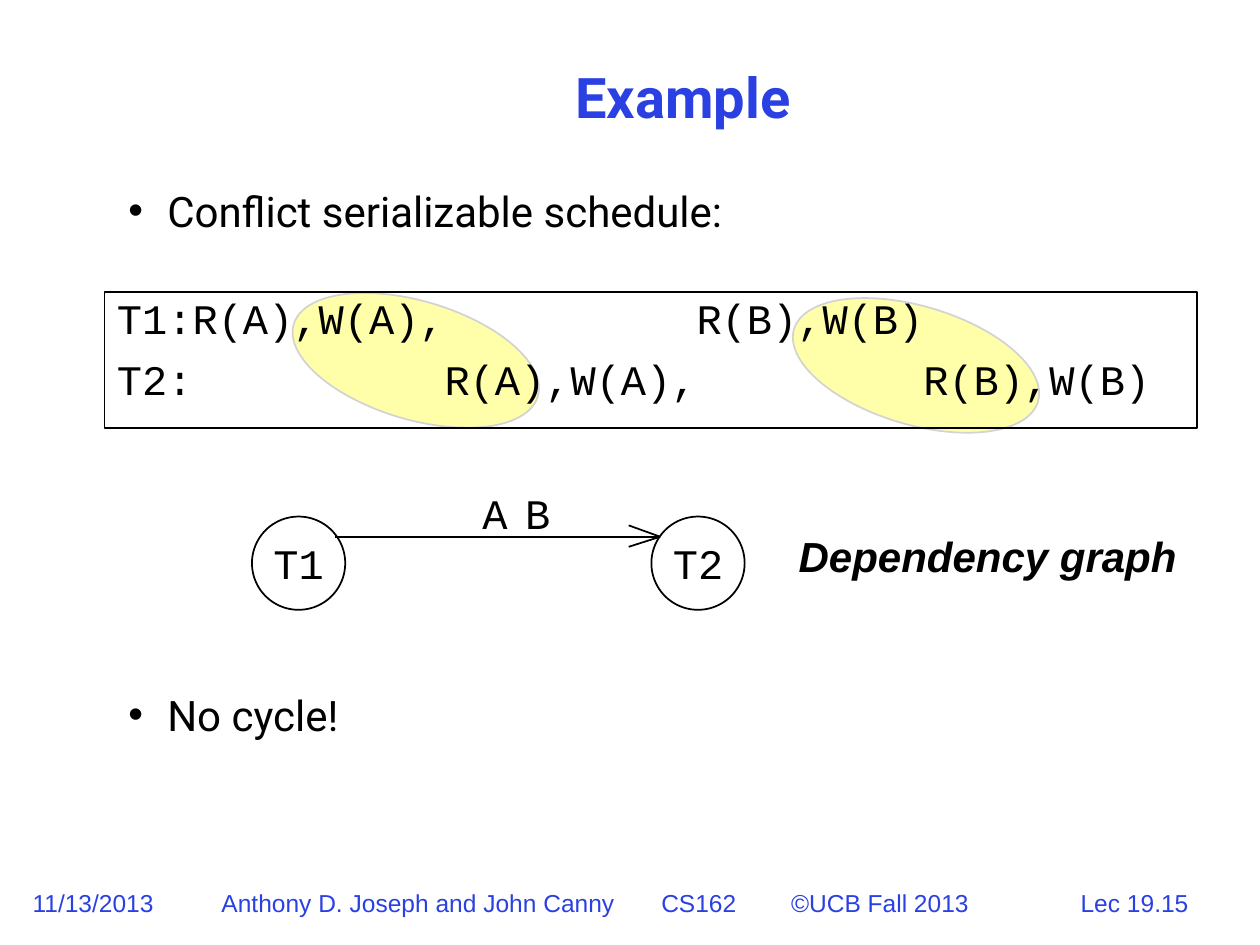
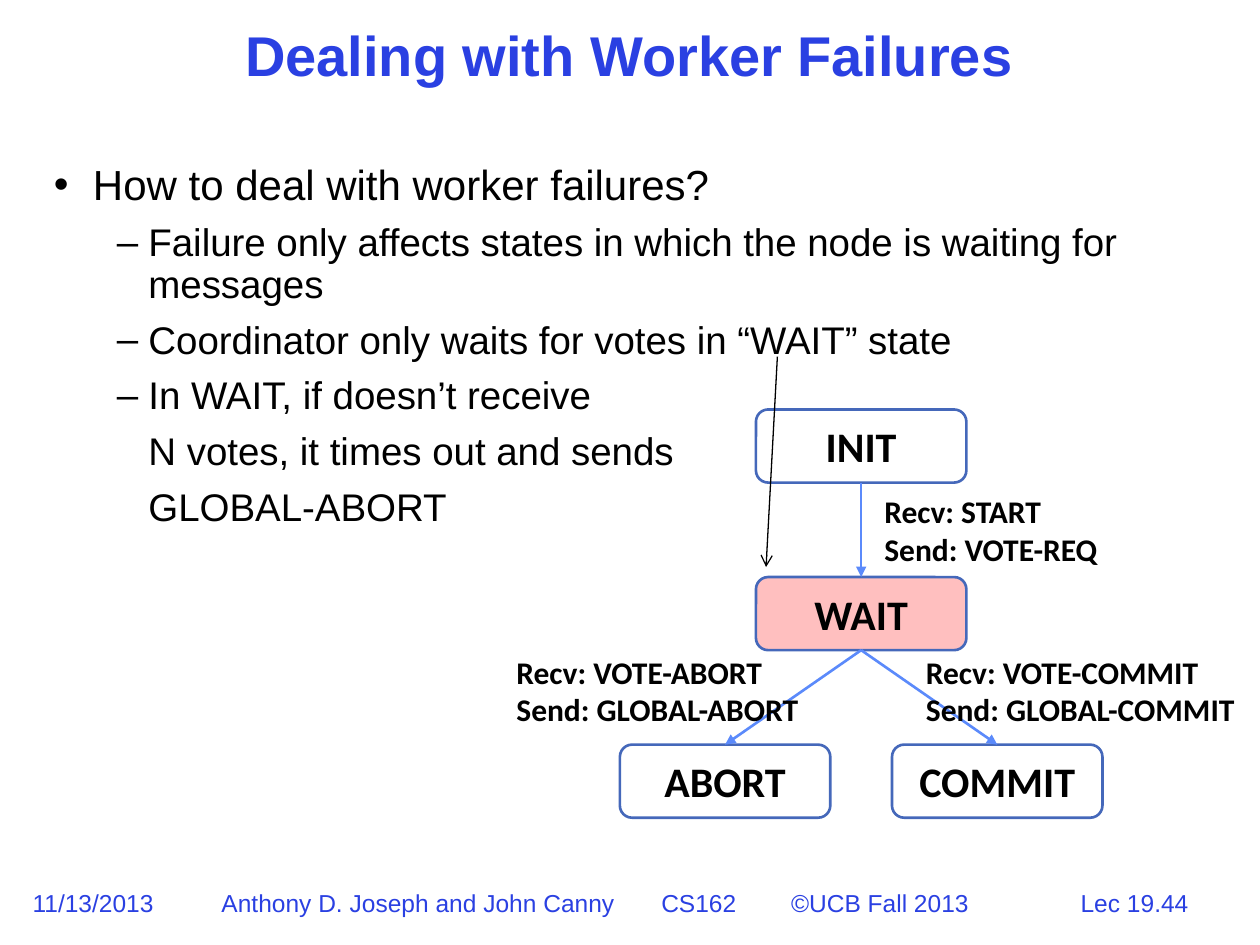
import pptx
import pptx.util
import pptx.dml.color
import pptx.enum.shapes
import pptx.enum.text
import pptx.oxml.ns
from lxml import etree

Inches = pptx.util.Inches
Pt = pptx.util.Pt
RGBColor = pptx.dml.color.RGBColor
SHAPE = pptx.enum.shapes.MSO_SHAPE
ANCHOR = pptx.enum.text.MSO_ANCHOR
ALIGN = pptx.enum.text.PP_ALIGN
qn = pptx.oxml.ns.qn

BLACK = RGBColor(0x00, 0x00, 0x00)
TITLE_BLUE = RGBColor(0x2A, 0x40, 0xE2)
BOX_BLUE = RGBColor(0x45, 0x68, 0xBA)
ARROW_BLUE = RGBColor(0x5B, 0x8A, 0xFB)
RED = RGBColor(0xFF, 0x00, 0x00)
PALE_YELLOW = RGBColor(0xFF, 0xFF, 0xAA)
LIGHT_GRAY = RGBColor(0xD3, 0xD3, 0xD3)

DATE = "11/13/2013"
CREDIT = "Anthony D. Joseph and John Canny\tCS162\t©UCB Fall 2013"
CREDIT_TABS = (3.49, 4.52)

# Example slide: text, top of its box
STATEMENTS = [("Conflict serializable schedule:", 1.5), ("No cycle!", 5.5)]
# Each operation group with the character column where it starts
SCHEDULE = [
    [("T1:R(A),W(A),", 0), ("R(B),W(B)", 23)],
    [("T2:", 0), ("R(A),W(A),", 13), ("R(B),W(B)", 32)],
]
CODE_COLUMN = 0.2
CONFLICTS = [(6.8, 1.89), (2.83, 1.85)]
TRANSACTIONS = [("T1", 2), ("T2", 5.17)]
EDGE_LABELS = [("A", 3.73), ("B", 4.07)]
EDGE_TIP = (5.24, 4.26)
EDGE_STARTS = [(2.66, 4.26), (4.99, 4.17), (4.99, 4.34)]

# Worker failures slide: text, level, bullet
FAILURE_POINTS = [
    ("How to deal with worker failures?", 0, "•"),
    ("Failure only affects states in which the node is waiting for messages", 1, "–"),
    ("Coordinator only waits for votes in “WAIT” state", 1, "–"),
    ("In WAIT, if doesn’t receive", 1, "–"),
    ("N votes, it times out and sends", 1, None),
    ("GLOBAL-ABORT", 1, None),
]
# Size, space before, left margin, hanging indent for each level
LEVELS = [(24, 9, 0.31, 0.31), (22, 8.2, 0.75, 0.25)]
# State: row, offset from the centre in columns
STATES = {"INIT": (0, 0), "WAIT": (1, 0), "ABORT": (2, -1), "COMMIT": (2, 1)}
TRANSITIONS = [("INIT", "WAIT"), ("WAIT", "ABORT"), ("WAIT", "COMMIT")]
MESSAGES = [
    (("Recv: START", "Send: VOTE-REQ"), 6.92, 3.86),
    (("Recv: VOTE-ABORT", "Send: GLOBAL-ABORT"), 4, 5.13),
    (("Recv: VOTE-COMMIT", "Send: GLOBAL-COMMIT"), 7.25, 5.13),
]


def set_bullet(paragraph, character, left, hanging):
    """Give the paragraph a bullet, or only its left margin if there is none."""
    properties = paragraph._p.get_or_add_pPr()
    properties.set("marL", str(Inches(left)))
    properties.set("indent", str(-Inches(hanging) if character else 0))
    if character:
        etree.SubElement(properties, qn("a:buFont"), typeface="Arial")
        etree.SubElement(properties, qn("a:buChar"), char=character)


def set_tabs(paragraph, positions):
    tab_list = etree.SubElement(paragraph._p.get_or_add_pPr(), qn("a:tabLst"))
    for position in positions:
        etree.SubElement(tab_list, qn("a:tab"), pos=str(Inches(position)), algn="l")


def style(paragraph, size, font="Arial", color=BLACK, bold=False, italic=False,
          align=ALIGN.LEFT, spacing=None, before=0):
    paragraph.alignment = align
    if spacing:
        paragraph.line_spacing = spacing
    paragraph.space_before = Pt(before)
    paragraph.font.size = Pt(size)
    paragraph.font.name = font
    paragraph.font.color.rgb = color
    paragraph.font.bold = bold
    paragraph.font.italic = italic


def write_lines(frame, lines):
    frame.text = "\n".join(lines)
    return frame.paragraphs


def add_text(slide, lines, left, top, width, height, anchor=ANCHOR.TOP):
    frame = slide.shapes.add_textbox(
        Inches(left), Inches(top), Inches(width), Inches(height)).text_frame
    frame.word_wrap = True
    frame.vertical_anchor = anchor
    return write_lines(frame, lines)


def add_outline(slide, kind, left, top, width, height, line, line_width=1):
    shape = slide.shapes.add_shape(
        kind, Inches(left), Inches(top), Inches(width), Inches(height))
    shape.shadow.inherit = False
    shape.fill.background()
    shape.line.color.rgb = line
    shape.line.width = Pt(line_width)
    return shape


def add_label(shape, text, font, bold=False):
    """Write centred text that may fill the whole shape."""
    frame = shape.text_frame
    frame.margin_left = frame.margin_right = 0
    frame.margin_top = frame.margin_bottom = 0
    frame.vertical_anchor = ANCHOR.MIDDLE
    style(write_lines(frame, [text])[0], 24, font, bold=bold, align=ALIGN.CENTER)


def add_line(slide, start, end, color, width, head=None):
    connector = slide.shapes.add_connector(
        pptx.enum.shapes.MSO_CONNECTOR.STRAIGHT, *map(Inches, start + end))
    connector.line.color.rgb = color
    connector.line.width = Pt(width)
    if head:
        etree.SubElement(connector.line._get_or_add_ln(), qn("a:tailEnd"), type=head)
    etree.SubElement(connector._element.spPr, qn("a:effectLst"))
    return connector


def add_frame(presentation, number):
    """Add a slide with the shared footer."""
    slide = presentation.slides.add_slide(presentation.slide_layouts[6])
    lecture = add_text(slide, [f"Lec 19.{number}"], 8.14, 7, 1.73, 0.33)[0]
    date = add_text(slide, [DATE], 0.16, 7, 1.25, 0.33)[0]
    credit = add_text(slide, [CREDIT], 1.66, 7, 6.3, 0.33)[0]
    set_tabs(credit, CREDIT_TABS)
    for paragraph in (lecture, date, credit):
        style(paragraph, 14, color=TITLE_BLUE)
    lecture.alignment = ALIGN.CENTER
    return slide


def add_title(slide, text, left, width, height, font):
    paragraph = add_text(slide, [text], left, 0.17, width, height, ANCHOR.MIDDLE)[0]
    style(paragraph, 32, font, TITLE_BLUE, bold=True, align=ALIGN.CENTER, spacing=0.9)


def add_schedule(slide):
    for left, top in CONFLICTS:
        ellipse = add_outline(slide, SHAPE.OVAL, left, top, 0.94, 2.02, LIGHT_GRAY)
        ellipse.fill.solid()
        ellipse.fill.fore_color.rgb = PALE_YELLOW
        ellipse.rotation = 286.5
    frame = add_outline(slide, SHAPE.RECTANGLE, 0.83, 2.32, 8.67, 1.08, BLACK).text_frame
    frame.vertical_anchor = ANCHOR.TOP
    lines = ["\t".join(text for text, column in row) for row in SCHEDULE]
    for index, paragraph in enumerate(write_lines(frame, lines)):
        set_tabs(paragraph, [column * CODE_COLUMN for text, column in SCHEDULE[index][1:]])
        style(paragraph, 24, "Courier New", spacing=0.9, before=9 if index else 0)


def add_dependency_graph(slide):
    for name, left in TRANSACTIONS:
        circle = add_outline(slide, SHAPE.OVAL, left, 4.1, 0.74, 0.74, BLACK)
        add_label(circle, name, "Courier New")
        circle.text_frame.word_wrap = False
    for start in EDGE_STARTS:
        add_line(slide, start, EDGE_TIP, BLACK, 1)
    for name, left in EDGE_LABELS:
        style(add_text(slide, [name], left, 3.82, 0.5, 0.5)[0], 24, "Courier New")
    caption = add_text(slide, ["Dependency graph"], 6.24, 4.16, 3.3, 0.5)[0]
    style(caption, 24, bold=True, italic=True)


def build_example(presentation):
    slide = add_frame(presentation, 15)
    add_title(slide, "Example", 1.17, 8.5, 1.25, "Roboto")
    for text, top in STATEMENTS:
        paragraph = add_text(slide, [text], 0.92, top, 8.5, 0.5)[0]
        set_bullet(paragraph, "•", 0.31, 0.31)
        style(paragraph, 24, "Roboto", spacing=0.8)
    add_schedule(slide)
    add_dependency_graph(slide)


def add_state_machine(slide):
    boxes = {}
    for name, (row, column) in STATES.items():
        box = add_outline(slide, SHAPE.ROUNDED_RECTANGLE, 6 + 1.08 * column,
                          3.25 + 1.33 * row, 1.67, 0.58, BOX_BLUE, 1.5)
        add_label(box, name, "Calibri", bold=True)
        boxes[name] = box
    fill = boxes["WAIT"].fill
    fill.solid()
    fill.fore_color.rgb = RED
    color = boxes["WAIT"]._element.spPr.find(qn("a:solidFill"))[0]
    etree.SubElement(color, qn("a:alpha"), val="25000")
    for source, target in TRANSITIONS:
        arrow = add_line(slide, (0, 0), (1, 1), ARROW_BLUE, 1.5, "triangle")
        arrow.begin_connect(boxes[source], 2)
        arrow.end_connect(boxes[target], 0)
    for lines, left, top in MESSAGES:
        for paragraph in add_text(slide, lines, left, top, 2.75, 0.7):
            style(paragraph, 18, "Calibri", bold=True)


def build_worker_failures(presentation):
    slide = add_frame(presentation, 44)
    add_title(slide, "Dealing with Worker Failures", 1.08, 7.83, 0.58, "Arial")
    paragraphs = add_text(slide, [point[0] for point in FAILURE_POINTS], 0.33, 1.25, 9, 4.95)
    for paragraph, (text, level, bullet) in zip(paragraphs, FAILURE_POINTS):
        size, before, left, hanging = LEVELS[level]
        paragraph.level = level
        set_bullet(paragraph, bullet, left, hanging)
        style(paragraph, size, spacing=0.9, before=before if level else 0)
    add_state_machine(slide)
    add_line(slide, (6.17, 2.83), (6.08, 4.5), BLACK, 0.75, "arrow")


def main():
    presentation = pptx.Presentation()
    presentation.slide_width = Inches(10)
    presentation.slide_height = Inches(7.5)
    build_example(presentation)
    build_worker_failures(presentation)
    presentation.save("out.pptx")


if __name__ == "__main__":
    main()
